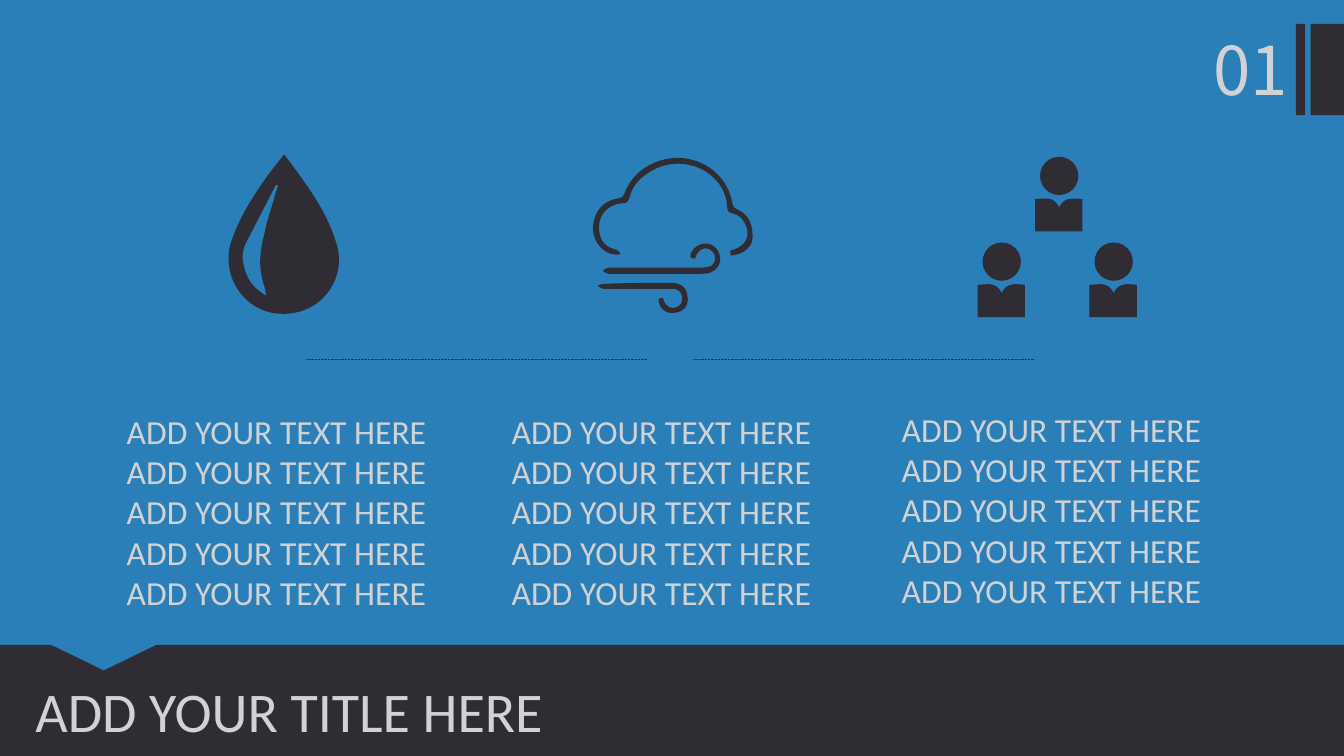
from collections import namedtuple

from lxml.etree import SubElement
from pptx import Presentation
from pptx.dml.color import RGBColor
from pptx.enum.dml import MSO_LINE
from pptx.enum.shapes import MSO_CONNECTOR, MSO_SHAPE
from pptx.enum.text import MSO_ANCHOR, MSO_AUTO_SIZE, PP_ALIGN
from pptx.oxml.ns import qn
from pptx.util import Cm, Pt

COLORS = {"sky": "2B7FB9", "ink": "2F2C33", "text": "D1D2D4"}
Box = namedtuple("Box", "left top width height")

DROP = [
    [(63, 0), (83, 27, 104, 54, 114, 86), (127, 122, 100, 159, 61, 158),
     (26, 158, 0, 123, 10, 88), (18, 64, 31, 43, 46, 22), (51, 15, 57, 8, 63, 0)],
    [(57, 31), (56, 31, 56, 30, 55, 30), (45, 49, 35, 69, 25, 88),
     (21, 96, 21, 105, 24, 114), (27, 125, 33, 133, 45, 140),
     (45, 137, 44, 135, 44, 133), (40, 121, 38, 109, 40, 96),
     (41, 87, 44, 77, 46, 67), (50, 55, 53, 43, 57, 31)],
]
CLOUD = [
    (139, 100), (155, 96, 160, 85, 153, 72), (151, 68, 147, 64, 141, 63),
    (139, 63, 136, 61, 136, 59), (136, 22, 91, 0, 57, 23), (48, 29, 41, 37, 39, 47),
    (37, 52, 36, 53, 31, 53), (16, 54, 6, 67, 9, 82), (10, 91, 16, 97, 26, 99),
    (27, 100, 29, 101, 30, 103), (28, 103, 27, 105, 25, 104), (11, 103, 0, 88, 3, 73),
    (5, 59, 14, 50, 28, 48), (32, 47, 33, 46, 34, 43), (42, 20, 67, 6, 92, 8),
    (118, 11, 137, 29, 141, 53), (142, 57, 143, 58, 146, 59), (157, 64, 162, 74, 161, 89),
    (160, 96, 152, 103, 144, 104), (141, 105, 138, 106, 139, 100),
]
UPPER_GUST = [
    (104, 108), (98, 108, 99, 105, 100, 102), (103, 96, 110, 92, 116, 93),
    (124, 94, 128, 100, 129, 107), (130, 113, 125, 120, 119, 122),
    (116, 123, 113, 123, 110, 123), (79, 123, 49, 123, 18, 123),
    (16, 123, 14, 121, 12, 120), (14, 119, 16, 117, 18, 117),
    (35, 117, 53, 117, 70, 117), (84, 117, 96, 117, 110, 117),
    (112, 117, 114, 117, 117, 116), (121, 116, 124, 112, 124, 107),
    (124, 103, 121, 100, 117, 98), (112, 97, 109, 99, 106, 103),
    (105, 104, 105, 106, 104, 108),
]
LOWER_GUST = [
    (72, 147), (73, 152, 76, 156, 81, 157), (86, 157, 91, 154, 91, 149),
    (92, 144, 89, 139, 84, 138), (82, 138, 80, 138, 78, 138),
    (56, 138, 35, 138, 13, 138), (11, 138, 9, 136, 7, 135), (9, 134, 11, 133, 13, 133),
    (36, 132, 58, 132, 80, 132), (89, 132, 95, 136, 96, 143),
    (98, 150, 96, 157, 90, 160), (81, 164, 71, 162, 68, 152), (67, 148, 68, 147, 72, 147),
]
TORSO = [
    (47, 4), (47, 15, 47, 25, 47, 36), (31, 36, 16, 36, 0, 36), (0, 26, 0, 15, 0, 4),
    (9, 4, 18, 0, 24, 12), (29, 2, 37, 3, 47, 4),
]
PEOPLE = [(1, 85), (58, 0), (112, 85)]


def cm_box(left, top, width, height):
    return Box(Cm(left), Cm(top), Cm(width), Cm(height))


def paint(shape, color):
    shape.shadow.inherit = False
    shape.fill.solid()
    shape.fill.fore_color.rgb = RGBColor.from_string(COLORS[color])
    shape.line.fill.background()


def add_block(shapes, kind, box, color="ink"):
    block = shapes.add_shape(kind, *box)
    paint(block, color)
    return block


def bend(shape):
    corners = list(shape.element.iter(qn("a:lnTo")))
    for first, second, end in zip(corners[::3], corners[1::3], corners[2::3]):
        first.tag = qn("a:cubicBezTo")
        for corner in (second, end):
            first.append(corner[0])
            corner.getparent().remove(corner)


def add_outline(shapes, box, grid_width, outlines):
    unit = box.width / grid_width
    loops = []
    for outline in outlines:
        numbers = [number for segment in outline for number in segment]
        loops.append([(round(box.left + x * unit), round(box.top + y * unit))
                      for x, y in zip(numbers[::2], numbers[1::2])])
    builder = shapes.build_freeform(*loops[0][0], scale=1.0)
    for index, loop in enumerate(loops):
        if index:
            builder.move_to(*loop[0])
        builder.add_line_segments(loop[1:], close=True)
    outline_shape = builder.convert_to_shape()
    bend(outline_shape)
    paint(outline_shape, "ink")


def add_drop(slide, box):
    add_outline(slide.shapes, box, 127, DROP)


def add_wind(slide, box):
    wind = slide.shapes.add_group_shape().shapes
    for outline in (CLOUD, UPPER_GUST, LOWER_GUST):
        add_outline(wind, box, 162, [outline])


def add_people(slide, box):
    people = slide.shapes.add_group_shape().shapes
    unit = box.width / 159
    for x, y in PEOPLE:
        left, top = round(box.left + x * unit), round(box.top + y * unit)
        head = round(38 * unit)
        add_block(people, MSO_SHAPE.OVAL, Box(left + round(5 * unit), top, head, head))
        add_outline(people, Box(left, top + head, round(47 * unit), head), 47, [TORSO])


def write(holder, box, lines, size, font="Calibri"):
    holder.left, holder.top, holder.width, holder.height = box
    frame = holder.text_frame
    frame.word_wrap = True
    frame.auto_size = MSO_AUTO_SIZE.SHAPE_TO_FIT_TEXT
    frame.vertical_anchor = MSO_ANCHOR.TOP
    frame.text = "\n".join(lines)
    for paragraph in frame.paragraphs:
        properties = paragraph._p.get_or_add_pPr()
        properties.set("marL", "0")
        properties.set("indent", "0")
        SubElement(properties, qn("a:buNone"))
        paragraph.alignment = PP_ALIGN.LEFT
        paragraph.space_before = Pt(0)
        for run in paragraph.runs:
            run.font.name = font
            run.font.size = Pt(size)
            run.font.bold = False
            run.font.color.rgb = RGBColor.from_string(COLORS["text"])


def add_number(slide, box):
    tab_width, stripe_width = Cm(0.84), Cm(0.23)
    right = box.left + box.width
    add_block(slide.shapes, MSO_SHAPE.RECTANGLE,
              Box(right - tab_width, box.top, tab_width, box.height))
    add_block(slide.shapes, MSO_SHAPE.RECTANGLE,
              Box(right - Cm(1.21), box.top, stripe_width, box.height))
    number_box = Box(box.left, box.top, Cm(2.64), box.height)
    write(slide.shapes.add_textbox(*number_box), number_box, ["01"], 48, "Noto Sans CJK SC")


def add_title_band(slide, box):
    band = slide.shapes.add_group_shape().shapes
    add_block(band, MSO_SHAPE.RECTANGLE, box)
    notch = add_block(band, MSO_SHAPE.ISOSCELES_TRIANGLE,
                      Box(box.left + Cm(0.1), box.top - Cm(0.58), Cm(5.03), Cm(1.22)), "sky")
    notch.rotation = 180
    title = slide.shapes.title
    write(title, Box(box.left + Cm(0.64), box.top + Cm(0.66), Cm(15.72), Cm(1.96)),
          ["ADD YOUR TITLE HERE"], 40)
    slide.shapes.element.append(title.element)


def add_dividers(slide, box):
    length = (box.width - Cm(1.17)) // 2
    for left in (box.left, box.left + box.width - length):
        divider = slide.shapes.add_connector(
            MSO_CONNECTOR.STRAIGHT, left, box.top, left + length, box.top)
        divider.line.color.rgb = RGBColor.from_string(COLORS["ink"])
        divider.line.width = Pt(0.5)
        divider.line.dash_style = MSO_LINE.ROUND_DOT
        SubElement(divider.element.spPr, qn("a:effectLst"))


def add_columns(slide, box):
    offsets = [(0, 0.05), (9.7, 0.05), (19.53, 0)]
    for index, (x, y) in enumerate(offsets, start=1):
        column = slide.placeholders[index]
        write(column, Box(box.left + Cm(x), box.top + Cm(y), Cm(8.46), box.height),
              ["ADD YOUR TEXT HERE"] * 5, 24)
        slide.shapes.element.append(column.element)
    spare = slide.placeholders[4].element
    spare.getparent().remove(spare)


def main():
    deck = Presentation()
    deck.slide_width, deck.slide_height = Cm(33.87), Cm(19.05)
    slide = deck.slides.add_slide(deck.slide_layouts.get_by_name("Comparison"))
    slide.background.fill.solid()
    slide.background.fill.fore_color.rgb = RGBColor.from_string(COLORS["sky"])
    add_number(slide, cm_box(30.33, 0.6, 3.54, 2.3))
    add_title_band(slide, cm_box(0, 16.25, 33.87, 2.8))
    add_drop(slide, cm_box(5.56, 3.89, 3.23, 4.04))
    add_dividers(slide, cm_box(7.72, 9.05, 18.34, 0))
    add_wind(slide, cm_box(14.88, 3.78, 4.11, 4.17))
    add_people(slide, cm_box(24.61, 3.95, 4.04, 4.04))
    add_columns(slide, cm_box(2.94, 10.17, 27.99, 6.4))
    deck.save("out.pptx")


if __name__ == "__main__":
    main()
